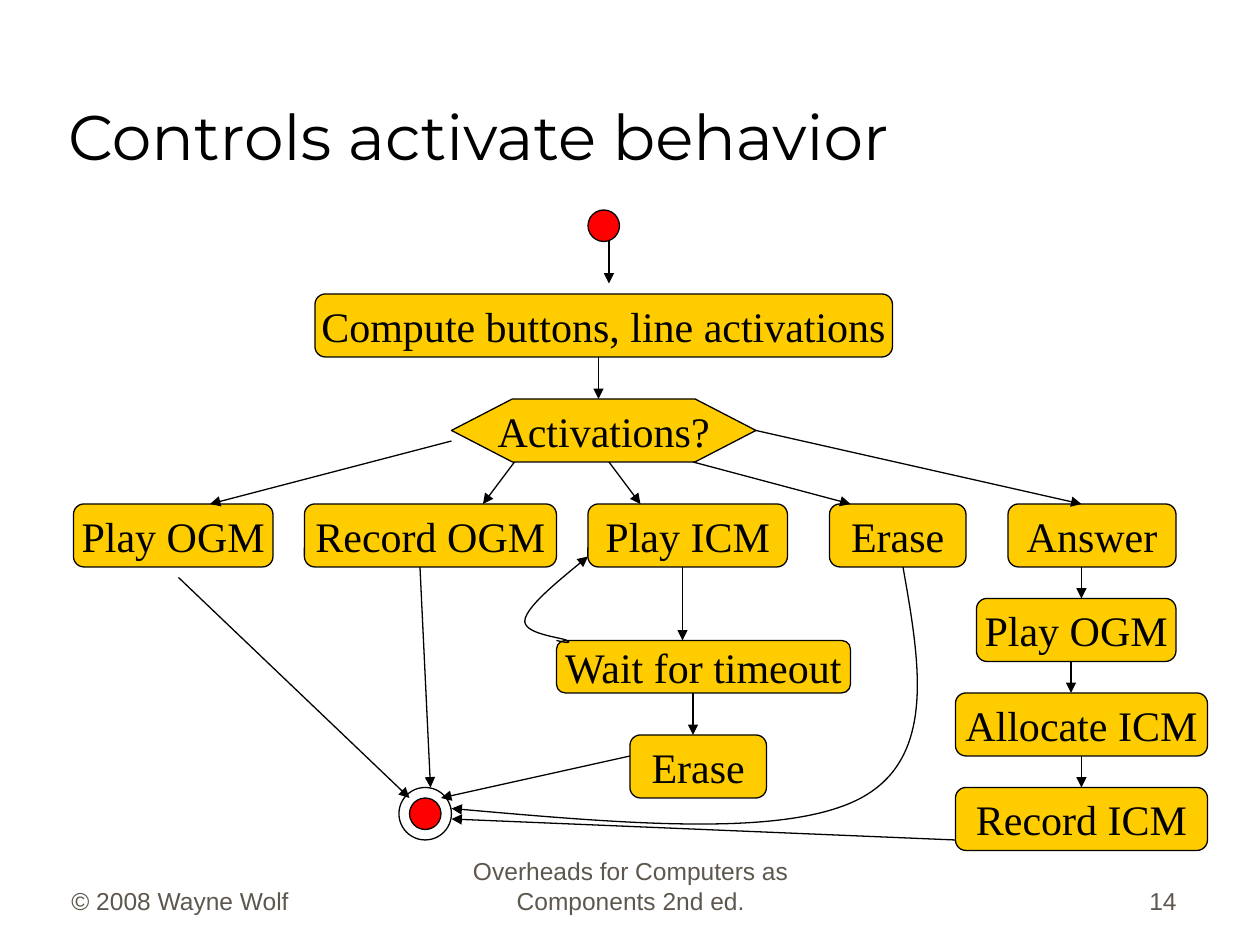
from dataclasses import dataclass

from lxml import etree
from pptx import Presentation
from pptx.dml.color import RGBColor
from pptx.enum.shapes import MSO_CONNECTOR, MSO_SHAPE
from pptx.enum.text import MSO_ANCHOR, MSO_AUTO_SIZE, PP_ALIGN
from pptx.oxml.ns import qn
from pptx.util import Cm, Length, Pt

ROUNDED = MSO_SHAPE.ROUNDED_RECTANGLE
HEXAGON = MSO_SHAPE.FLOWCHART_PREPARATION
OVAL = MSO_SHAPE.OVAL
STRAIGHT = MSO_CONNECTOR.STRAIGHT
LEFT, CENTER, RIGHT = PP_ALIGN.LEFT, PP_ALIGN.CENTER, PP_ALIGN.RIGHT
BOTTOM, MIDDLE = MSO_ANCHOR.BOTTOM, MSO_ANCHOR.MIDDLE

BLACK, GOLD, RED, GREY = "000000", "FFCC00", "FF0000", "5E574E"
GRID_CM = 2.54 / 12

Point = tuple[float, float]


@dataclass(frozen=True)
class Step:
    label: str
    x: int
    y: int
    width: int
    height: int = 6
    kind: int = ROUNDED


@dataclass(frozen=True)
class Dot:
    x: int
    y: int
    size: int
    color: str | None


@dataclass(frozen=True)
class Footer:
    text: str
    left: float
    width: float
    align: int


STEPS = [
    Step("Compute buttons, line activations", 30, 28, 55),
    Step("Activations?", 43, 38, 29, kind=HEXAGON),
    Step("Play OGM", 7, 48, 19),
    Step("Record OGM", 29, 48, 24),
    Step("Play ICM", 56, 48, 19),
    Step("Erase", 79, 48, 13),
    Step("Answer", 96, 48, 16),
    Step("Wait for timeout", 53, 61, 28, 5),
    Step("Erase", 60, 70, 13),
    Step("Play OGM", 93, 57, 19),
    Step("Allocate ICM", 91, 66, 24),
    Step("Record ICM", 91, 75, 24),
]
DOTS = [Dot(56, 20, 3, RED), Dot(39, 76, 3, RED), Dot(38, 75, 5, None)]
ARROWS = [
    ((58, 23), (58, 27)),
    ((57, 34), (57, 38)),
    ((43, 42), (20, 48)),
    ((49, 44), (46, 48)),
    ((58, 44), (61, 48)),
    ((66, 44), (81, 48)),
    ((72, 41), (103, 48)),
    ((65, 54), (65, 61)),
    ((66, 66), (66, 70)),
    ((60, 72), (42, 76)),
    ((40, 54), (41, 75)),
    ((17, 55), (39, 76)),
    ((91, 80), (43, 78)),
    ((103, 54), (103, 57)),
    ((102, 63), (102, 66)),
    ((103, 72), (103, 75)),
]
RETRY_CURVE = [
    (53, 61),
    (53.8, 61.2), (54.5, 61.3), (54, 61),
    (53.5, 60.7), (49.7, 60.4), (50, 59),
    (50.3, 57.7), (53.2, 55.3), (56, 53),
]
ERASE_CURVE = [
    (86, 54),
    (87.6, 63.1), (89.2, 72.1), (82, 76),
    (74.9, 79.8), (58.9, 78.4), (43, 77),
]
FOOTERS = [
    Footer("© 2008 Wayne Wolf", 1.19, 5.28, LEFT),
    Footer("Overheads for Computers as Components 2nd ed.", 8.69, 8.05, CENTER),
    Footer("14", 18.69, 5.28, RIGHT),
]


def grid(units: float) -> Length:
    return Cm(units * GRID_CM)


def rgb(color: str) -> RGBColor:
    return RGBColor.from_string(color)


def write(shape, text: str, face: str, size: int, color: str, align: int, anchor: int) -> None:
    shape.text_frame.text = text
    shape.text_frame.vertical_anchor = anchor
    paragraph = shape.text_frame.paragraphs[0]
    paragraph.alignment = align
    paragraph.font.name = face
    paragraph.font.size = Pt(size)
    paragraph.font.color.rgb = rgb(color)


def outline(shape, fill: str | None) -> None:
    shape.shadow.inherit = False
    if fill:
        shape.fill.solid()
        shape.fill.fore_color.rgb = rgb(fill)
    else:
        shape.fill.background()
    shape.line.color.rgb = rgb(BLACK)
    shape.line.width = Pt(0.75)


def add_arrowhead(shape) -> None:
    etree.SubElement(shape.line._get_or_add_ln(), qn("a:tailEnd"), type="triangle")


def draw_step(shapes, step: Step):
    box = shapes.add_shape(
        step.kind, grid(step.x), grid(step.y), grid(step.width), grid(step.height)
    )
    outline(box, GOLD)
    write(box, step.label, "Times New Roman", 24, BLACK, CENTER, MIDDLE)
    box.text_frame.word_wrap = False
    return box


def side_middles(step: Step) -> list[Point]:
    center, middle = step.x + step.width / 2, step.y + step.height / 2
    return [
        (center, step.y),
        (step.x, middle),
        (center, step.y + step.height),
        (step.x + step.width, middle),
    ]


def draw_dot(shapes, dot: Dot) -> None:
    circle = shapes.add_shape(OVAL, grid(dot.x), grid(dot.y), grid(dot.size), grid(dot.size))
    outline(circle, dot.color)


def draw_arrow(shapes, start: Point, end: Point, joints: dict) -> None:
    arrow = shapes.add_connector(STRAIGHT, *map(grid, start + end))
    if start in joints:
        arrow.begin_connect(*joints[start])
    if end in joints:
        arrow.end_connect(*joints[end])
    arrow.line.color.rgb = rgb(BLACK)
    arrow.line.width = Pt(0.75)
    add_arrowhead(arrow)
    etree.SubElement(arrow._element.spPr, qn("a:effectLst"))


def draw_curve(shapes, points: list[Point]) -> None:
    start, *controls = [(grid(x), grid(y)) for x, y in points]
    builder = shapes.build_freeform(*start)
    builder.add_line_segments(controls, close=False)
    curve = builder.convert_to_shape()
    outline(curve, None)
    add_arrowhead(curve)
    outline_path = next(curve._element.iter(qn("a:path")))
    segments = outline_path.findall(qn("a:lnTo"))
    for first in range(0, len(segments), 3):
        bezier = etree.SubElement(outline_path, qn("a:cubicBezTo"))
        for segment in segments[first:first + 3]:
            bezier.append(segment[0])
            outline_path.remove(segment)


def draw_footer(shapes, footer: Footer) -> None:
    box = shapes.add_textbox(Cm(footer.left), Cm(17.3), Cm(footer.width), Cm(1.27))
    box.text_frame.word_wrap = True
    write(box, footer.text, "Arial", 14, GREY, footer.align, BOTTOM)


def main() -> None:
    deck = Presentation()
    deck.slide_width, deck.slide_height = Cm(25.4), Cm(19.05)
    shapes = deck.slides.add_slide(deck.slide_layouts[5]).shapes

    title = shapes.title
    title.left, title.top, title.width, title.height = Cm(1.12), Cm(0.64), Cm(22.78), Cm(2.97)
    write(title, "Controls activate behavior", "Montserrat", 36, BLACK, LEFT, BOTTOM)
    title.text_frame.auto_size = MSO_AUTO_SIZE.NONE

    joints = {}
    for step in STEPS:
        box = draw_step(shapes, step)
        for site, middle in enumerate(side_middles(step)):
            joints[middle] = (box, site)
    for dot in DOTS:
        draw_dot(shapes, dot)
    for start, end in ARROWS:
        draw_arrow(shapes, start, end, joints)
    for curve in (RETRY_CURVE, ERASE_CURVE):
        draw_curve(shapes, curve)
    for footer in FOOTERS:
        draw_footer(shapes, footer)
    deck.save("out.pptx")


if __name__ == "__main__":
    main()
